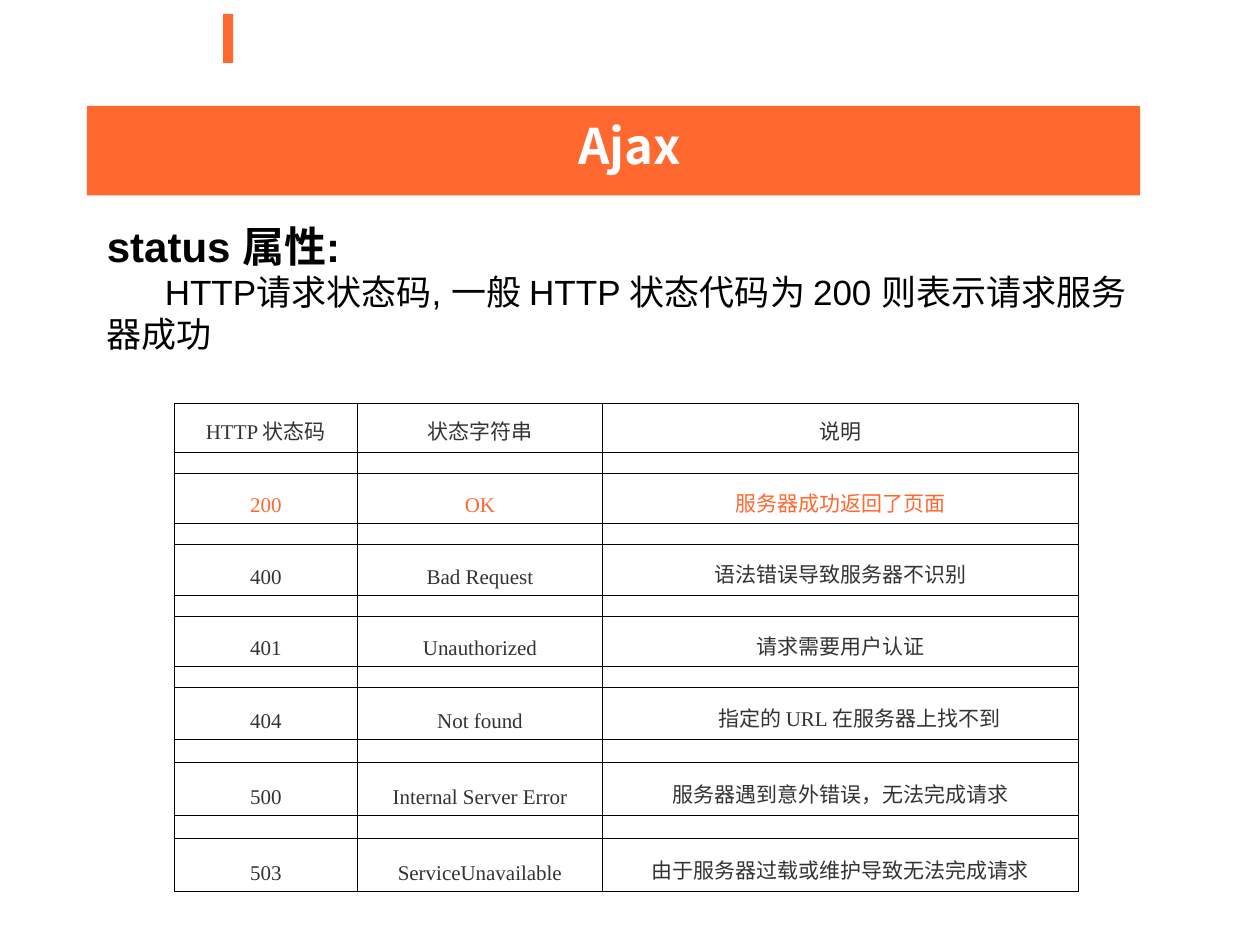
import lxml.etree
import pptx
import pptx.dml.color
import pptx.enum.shapes
import pptx.enum.text
import pptx.oxml.ns
import pptx.util

Inches = pptx.util.Inches
ORANGE, GRAY, BLACK, WHITE = "FF682F", "333333", "000000", "FFFFFF"
SANS, CHINESE, SERIF = "Arial", "Noto Sans CJK SC", "Times New Roman"
CENTER = pptx.enum.text.PP_ALIGN.CENTER
COLUMN_WIDTHS = [1.46, 1.94, 3.78]
STATUS_ROWS = [
    (0.39, ["HTTP ", "状态码"], ["状态字符串"], ["说明"]),
    (0.4, ["200"], ["OK"], ["服务器成功返回了页面"]),
    (0.4, ["400"], ["Bad Request"], ["语法错误导致服务器不识别"]),
    (0.4, ["401"], ["Unauthorized"], ["请求需要用户认证"]),
    (0.41, ["404"], ["Not found"], ["指定的 ", "URL ", "在服务器上找不到"]),
    (0.42, ["500"], ["Internal Server Error"], ["服务器遇到意外错误，无法完成请求"]),
    (0.42, ["503"], ["ServiceUnavailable"], ["由于服务器过载或维护导致无法完成请求"]),
]
SPACERS = [(0.07, 4)] * 4 + [(0.08, 5)] * 2


def color(value):
    return pptx.dml.color.RGBColor.from_string(value)


def add_element(parent, tag, **attributes):
    element = lxml.etree.SubElement(parent, pptx.oxml.ns.qn(tag))
    for name, value in attributes.items():
        element.set(name, str(value))
    return element


def write(paragraph, text, size=12, font=SERIF, fill=BLACK, bold=False, align=None):
    paragraph.alignment = align
    run = paragraph.add_run()
    run.text = text
    run.font.size = pptx.util.Pt(size)
    run.font.bold = bold
    run.font.color.rgb = color(fill)
    run.font.name = font
    add_element(run.font._element, "a:ea", typeface=CHINESE)


def add_bar(slide, left, top, width, height):
    shape = slide.shapes.add_shape(
        pptx.enum.shapes.MSO_SHAPE.RECTANGLE,
        Inches(left), Inches(top), Inches(width), Inches(height))
    shape.shadow.inherit = False
    shape.fill.solid()
    shape.fill.fore_color.rgb = color(ORANGE)
    shape.line.fill.background()


def add_text_frame(slide, left, top, width, height):
    box = slide.shapes.add_textbox(
        Inches(left), Inches(top), Inches(width), Inches(height))
    frame = box.text_frame
    frame.word_wrap = True
    frame.auto_size = pptx.enum.text.MSO_AUTO_SIZE.SHAPE_TO_FIT_TEXT
    return frame


def add_title(slide, left, top, width, height):
    add_bar(slide, left, top, width, height)
    frame = add_text_frame(slide, left + 0.53, top + 0.03, width - 0.8, height - 0.14)
    write(frame.paragraphs[0], "Ajax", size=28, font=CHINESE, fill=WHITE,
          bold=True, align=CENTER)


def add_description(slide, left, top, width, height):
    frame = add_text_frame(slide, left, top, width, height)
    write(frame.paragraphs[0], "status 属性:", size=24, font=SANS, bold=True)
    detail = frame.add_paragraph()
    write(detail, "HTTP请求状态码, 一般 HTTP 状态代码为 200 则表示请求服务器成功",
          size=20, font=SANS)
    detail._p.get_or_add_pPr().set("indent", str(Inches(0.46)))


def format_cell(cell, thin_side):
    properties = cell._tc.get_or_add_tcPr()
    for side in ("lnL", "lnR", "lnT", "lnB"):
        thin = side == thin_side
        width = pptx.util.Pt(0.34 if thin else 0.45)
        line = add_element(properties, f"a:{side}", w=width)
        fill = add_element(line, "a:solidFill")
        add_element(fill, "a:srgbClr", val=BLACK if thin else "080000")
    cell.fill.background()
    cell.vertical_anchor = pptx.enum.text.MSO_ANCHOR.BOTTOM


def fill_status_row(table, index, status_row):
    height, *texts = status_row
    table.rows[index].height = Inches(height)
    fill = ORANGE if texts[0] == ["200"] else GRAY
    for cell, pieces in zip(table.rows[index].cells, texts):
        format_cell(cell, "lnB")
        if "URL " in pieces:
            cell.margin_left = Inches(0.4)
        for piece in pieces:
            write(cell.text_frame.paragraphs[0], piece, fill=fill, align=CENTER,
                  font=SERIF if piece.isascii() else CHINESE)


def fill_spacer_row(table, index, height, size):
    table.rows[index].height = Inches(height)
    for cell in table.rows[index].cells:
        format_cell(cell, "lnT")
        add_element(cell.text_frame.paragraphs[0]._p, "a:endParaRPr", sz=size * 100)


def add_status_table(slide, left, top, width, height):
    row_count = len(STATUS_ROWS) + len(SPACERS)
    table = slide.shapes.add_table(
        row_count, len(COLUMN_WIDTHS),
        Inches(left), Inches(top), Inches(width), Inches(height)).table
    table.first_row = False
    table.horz_banding = False
    for column, column_width in zip(table.columns, COLUMN_WIDTHS):
        column.width = Inches(column_width)
    for number, status_row in enumerate(STATUS_ROWS):
        fill_status_row(table, 2 * number, status_row)
    for number, (spacer_height, size) in enumerate(SPACERS):
        fill_spacer_row(table, 2 * number + 1, spacer_height, size)


def main():
    presentation = pptx.Presentation()
    presentation.slide_width = Inches(10)
    presentation.slide_height = Inches(7.5)
    slide = presentation.slides.add_slide(presentation.slide_layouts[6])
    add_bar(slide, 1.77, 0.11, 0.08, 0.39)
    add_title(slide, 0.69, 0.84, 8.36, 0.71)
    add_description(slide, 0.75, 1.7, 8.33, 1.17)
    add_status_table(slide, 1.38, 3.2, 7.18, 3.28)
    presentation.save("out.pptx")


if __name__ == "__main__":
    main()
